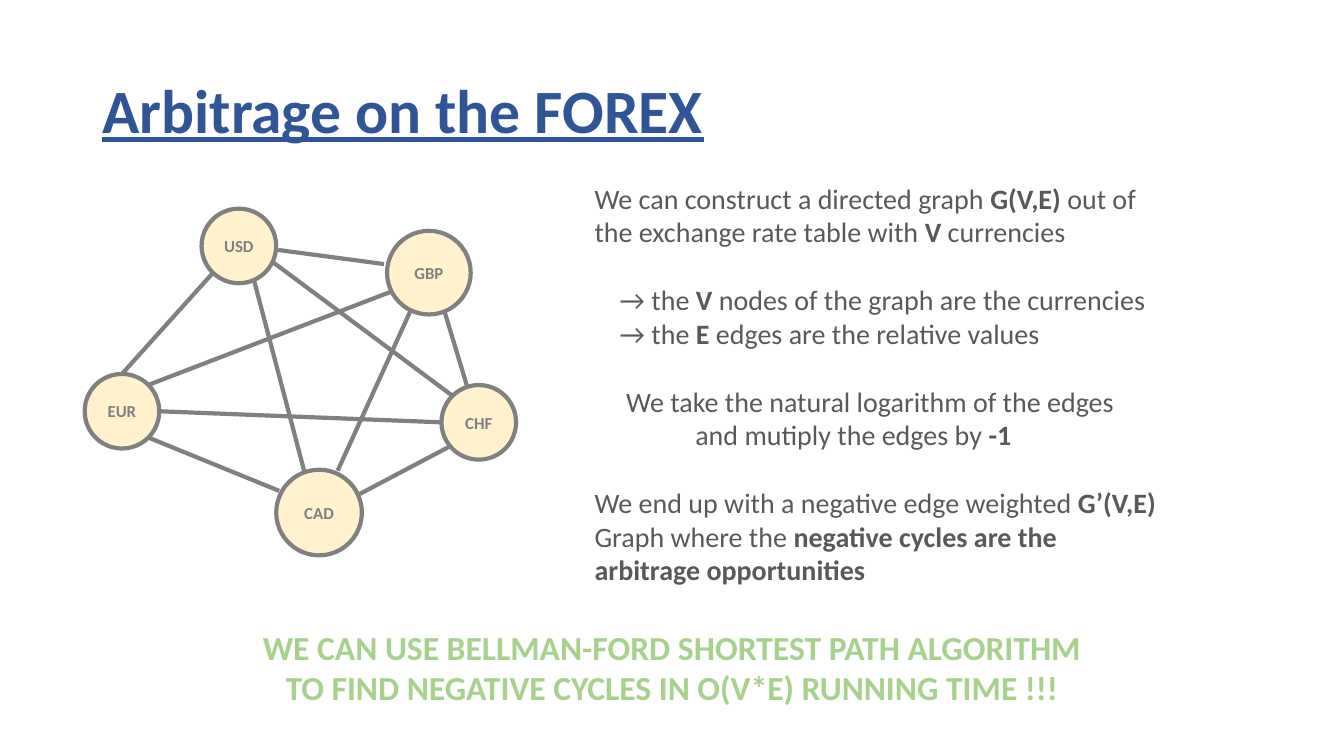
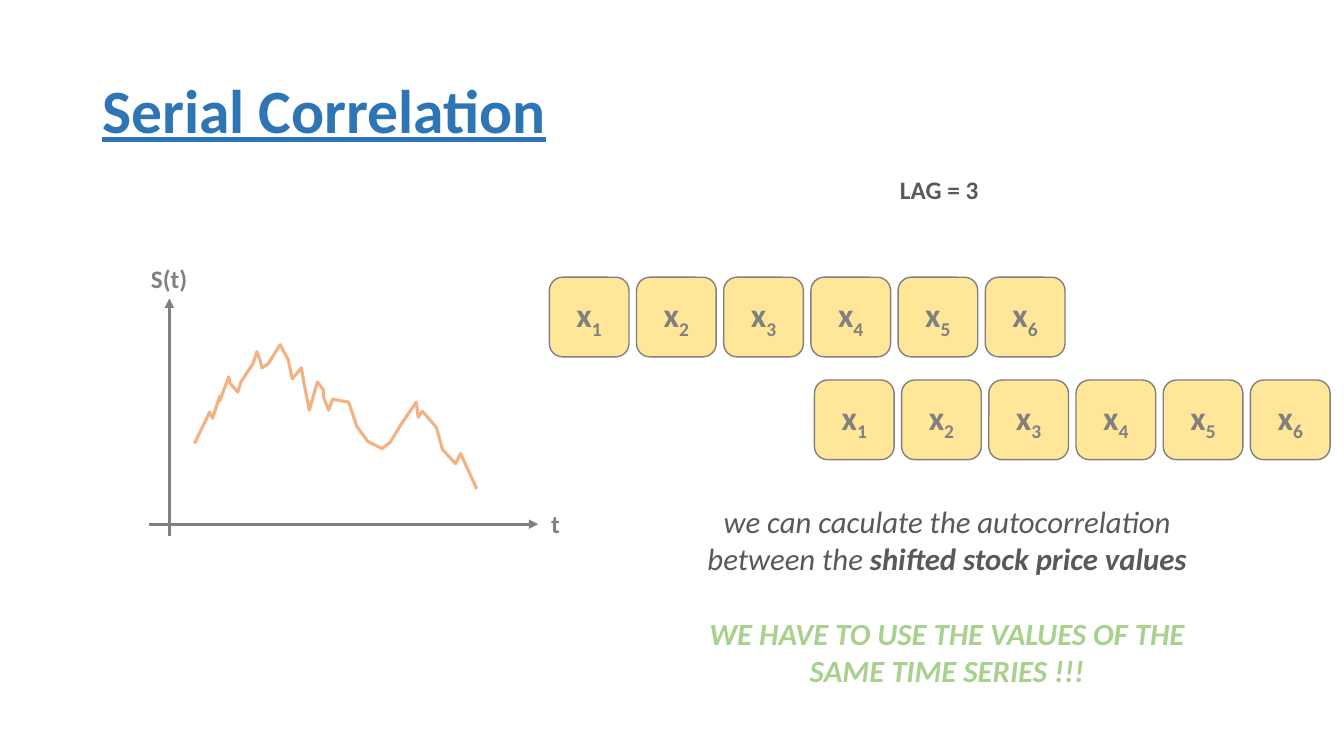
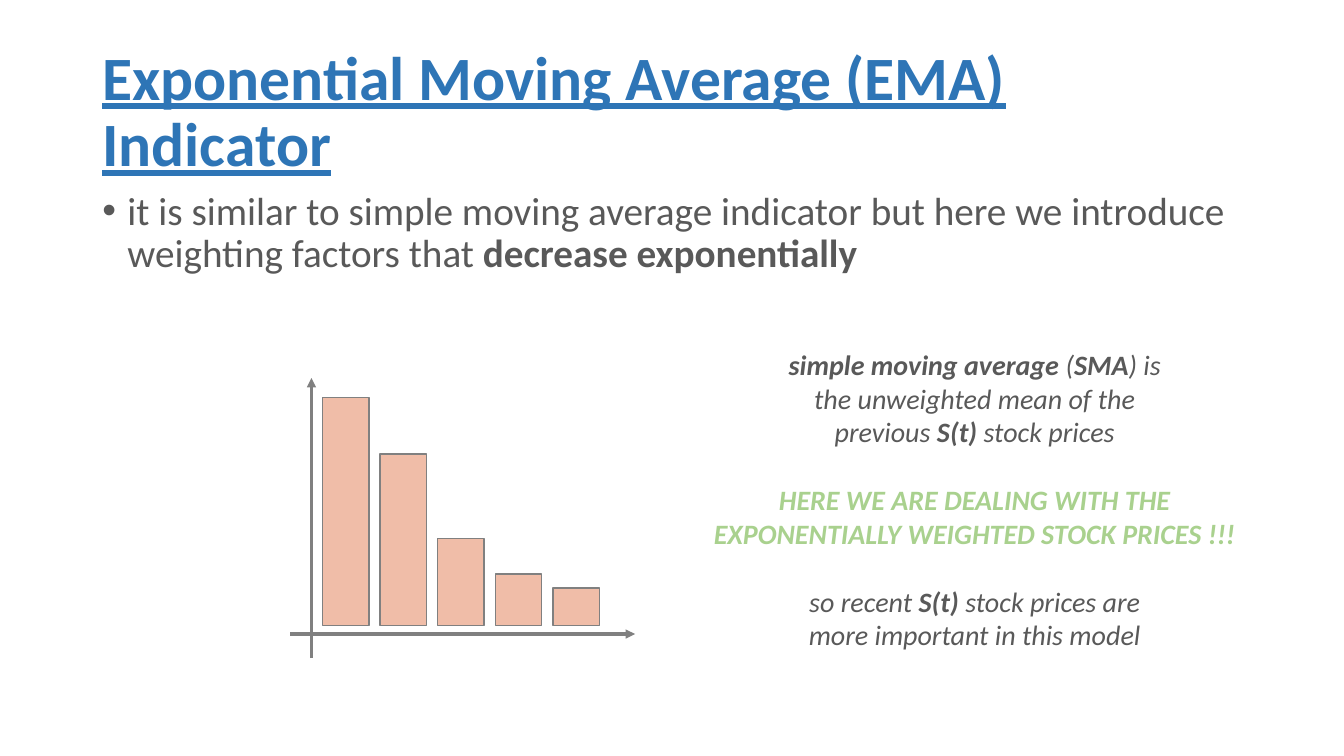
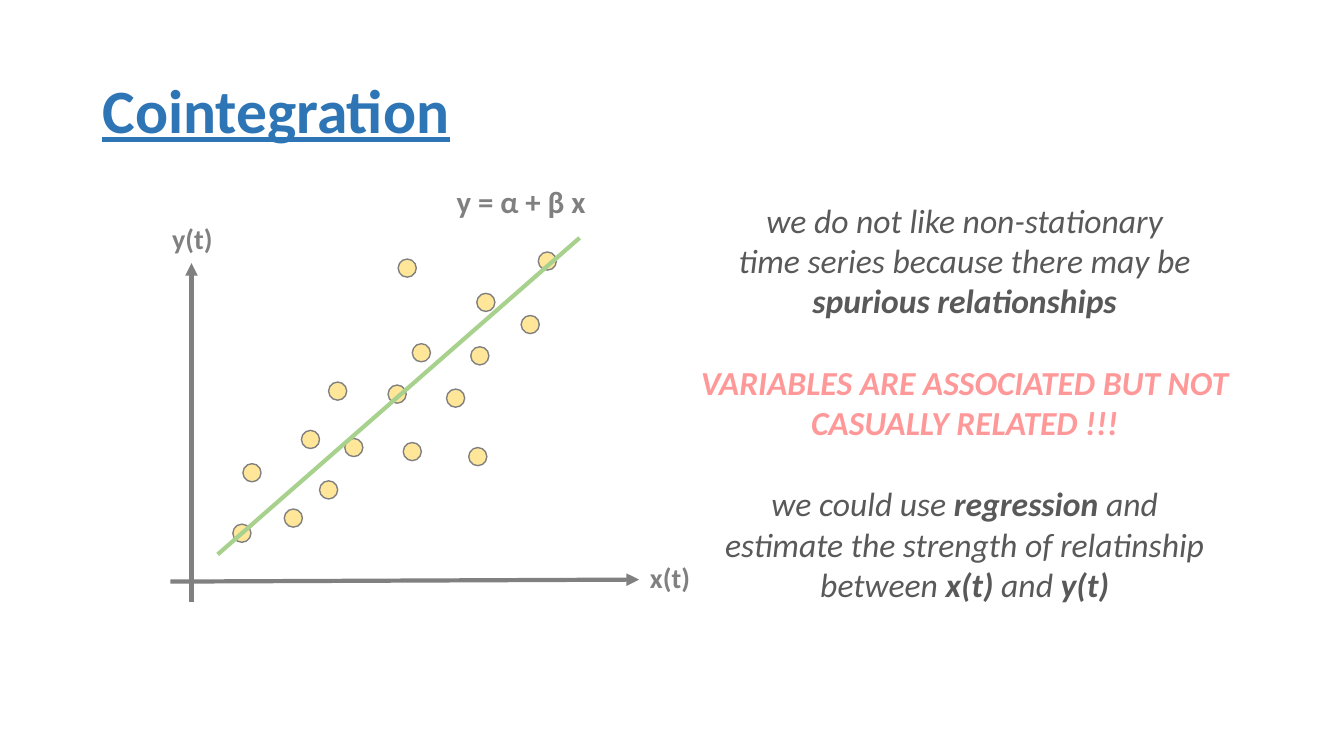
from lxml.etree import SubElement
from pptx import Presentation
from pptx.dml.color import RGBColor
from pptx.enum.shapes import MSO_CONNECTOR as Connector, MSO_SHAPE as Preset
from pptx.enum.text import MSO_ANCHOR as Anchor, MSO_AUTO_SIZE as Fit, PP_ALIGN as Align
from pptx.oxml.ns import qn
from pptx.util import Inches, Pt

COLUMNS, ROWS = 80, 45
CELL = Inches(1) // 6
FONT = "Calibri"
LINE_HEIGHT = 1.22

COLORS = {
    "navy": "2F5597", "blue": "2E75B6", "gray": "808080", "text": "595959",
    "cream": "FFF2CC", "yellow": "FFE699", "peach": "F0BDA8",
    "orange": "F4B183", "green": "A9D18E", "red": "FF9999",
}
LABEL = {"size": 18, "color": "gray", "bold": True}
PROSE = {"size": 20, "color": "text", "italic": True, "align": Align.CENTER}
SHOUT = {"color": "green", "bold": True, "gap": True}
NEW_GROUP = {"gap": True}


def color(name):
    return RGBColor.from_string(COLORS[name])


def cells(*values):
    """Turn counts of grid cells into lengths."""
    return [round(value * CELL) for value in values]


class Page:
    """Style of the deck, and the slide being filled."""

    def __init__(self, deck, title, title_color="blue"):
        self.slide = deck.slides.add_slide(deck.slide_layouts[5])
        self.shapes = self.slide.shapes
        box = self.shapes.title
        box.left, box.top, box.width, box.height = cells(5.5, 2.4, 69, 8.7)
        frame = box.text_frame
        for name, value in {"auto_size": Fit.NONE, "word_wrap": True,
                            "vertical_anchor": Anchor.MIDDLE}.items():
            setattr(frame, name, value)
        para = frame.paragraphs[0]
        para.line_spacing = 0.9
        self.fill_para(para, title, {"size": 44, "color": title_color, "bold": True,
                                     "underline": True, "align": Align.LEFT})

    def fill_para(self, para, text, look):
        """Fill a paragraph; ** switches bold, a line end breaks the line."""
        para.alignment = look.get("align", Align.LEFT)
        for order, piece in enumerate(text.split("**")):
            for number, words in enumerate(piece.split("\n")):
                if number:
                    para.add_line_break()
                if words:
                    self.span(para, words, look, look.get("bold", False) or order % 2 == 1)

    def span(self, para, words, look, bold):
        span = para.add_run()
        span.text = words
        formats = {"name": FONT, "size": Pt(look["size"]), "bold": bold,
                   "italic": look.get("italic", False),
                   "underline": look.get("underline", False)}
        for name, value in formats.items():
            setattr(span.font, name, value)
        span.font.color.rgb = color(look["color"])
        return span

    def text(self, place, lines, look, wrap=False):
        """Add a text box; a line is a string, or a string with its own look."""
        frame = self.shapes.add_textbox(*cells(*place)).text_frame
        frame.word_wrap = wrap
        frame.auto_size = Fit.NONE if wrap else Fit.SHAPE_TO_FIT_TEXT
        for number, line in enumerate(lines):
            words, own = (line, {}) if isinstance(line, str) else line
            para = frame.add_paragraph() if number else frame.paragraphs[0]
            style = {**look, **own}
            if style.get("gap"):
                para.space_before = Pt(round(style["size"] * LINE_HEIGHT, 1))
            if "indent" in style:
                para._p.get_or_add_pPr().set("marL", str(cells(style["indent"])[0]))
            self.fill_para(para, words, style)
        return frame

    def bullet(self, place, words, look):
        para = self.text(place, [words], look, wrap=True).paragraphs[0]
        para.line_spacing = 0.9
        settings = para._p.get_or_add_pPr()
        hang = cells(1.5)[0]
        settings.set("marL", str(hang))
        settings.set("indent", str(-hang))
        SubElement(settings, qn("a:buFont"), typeface="Arial")
        SubElement(settings, qn("a:buChar"), char="•")

    def shape(self, preset, place, fill, width=1):
        shape = self.shapes.add_shape(preset, *cells(*place))
        shape.shadow.inherit = False
        shape.fill.solid()
        shape.fill.fore_color.rgb = color(fill)
        self.outline(shape, "gray", width)
        return shape

    def outline(self, shape, name, width):
        shape.line.color.rgb = color(name)
        shape.line.width = Pt(width)

    def caption(self, shape, words, size, subscript=""):
        frame = shape.text_frame
        frame.word_wrap = False
        frame.vertical_anchor = Anchor.MIDDLE
        para = frame.paragraphs[0]
        look = {**LABEL, "size": size, "align": Align.CENTER}
        self.fill_para(para, words, look)
        if subscript:
            small = self.span(para, subscript, look, True)
            small._r.get_or_add_rPr().set("baseline", "-25000")

    def line(self, ends, name="gray", width=3.0, arrow=False):
        line = self.shapes.add_connector(Connector.STRAIGHT, *cells(*ends))
        self.outline(line, name, width)
        settings = line._element.spPr
        if arrow:
            SubElement(settings.find(qn("a:ln")), qn("a:tailEnd"), type="triangle")
        SubElement(settings, qn("a:effectLst"))

    def axes(self, upright, flat, width=2.25):
        for ends in (upright, flat):
            self.line(ends, width=width, arrow=True)

    def curve(self, points, name, width):
        start, *rest = [cells(*point) for point in points]
        builder = self.shapes.build_freeform(*start)
        builder.add_line_segments(rest, close=False)
        curve = builder.convert_to_shape()
        curve.shadow.inherit = False
        curve.fill.background()
        self.outline(curve, name, width)

    def tiles(self, left, top, count=6, size=4.74, pitch=5.19):
        for number in range(count):
            place = (left + number * pitch, top, size, size)
            tile = self.shape(Preset.ROUNDED_RECTANGLE, place, "yellow")
            self.caption(tile, "x", 24, str(number + 1))


def arbitrage(deck):
    page = Page(deck, "Arbitrage on the FOREX", "navy")
    currencies = [
        ("USD", 12, 12.42, 4.44), ("EUR", 5.04, 22.26, 4.44),
        ("CHF", 26.28, 22.92, 4.44), ("CAD", 16.44, 27.96, 5.1),
        ("GBP", 23.04, 13.74, 4.98),
    ]
    for name, left, top, size in currencies:
        node = page.shape(Preset.OVAL, (left, top, size, size), "cream", 3)
        page.caption(node, name, 12)
    edges = [
        (8.82, 22.92, 23.34, 17.34), (9.48, 24.48, 26.28, 25.14),
        (8.82, 26.04, 16.62, 29.22), (7.26, 22.26, 12.66, 16.26),
        (22.86, 15.72, 16.56, 14.88), (27.78, 22.92, 26.46, 18.54),
        (21.42, 29.4, 26.76, 26.58), (20.1, 28.02, 24.42, 18.54),
        (18.12, 28.08, 15.12, 16.68), (26.88, 23.52, 16.32, 15.66),
    ]
    for edge in edges:
        page.line(edge)
    page.text((34.8, 10.5, 34.8, 24.84), [
        "We can construct a directed graph **G(V,E)** out of",
        "the exchange rate table with **V** currencies",
        ("→ the **V** nodes of the graph are the currencies", {"indent": 1.5, "gap": True}),
        ("→ the **E** edges are the relative values", {"indent": 1.5}),
        ("We take the natural logarithm of the edges", {"indent": 1.88, "gap": True}),
        ("and mutiply the edges by **-1**", {"indent": 6}),
        ("We end up with a negative edge weighted **G’(V,E)**", NEW_GROUP),
        "Graph where the **negative cycles are the**",
        "**arbitrage opportunities**",
    ], {"size": 20, "color": "text"})
    page.text((14.82, 37.02, 50.34, 5.46), [
        "WE CAN USE BELLMAN-FORD SHORTEST PATH ALGORITHM\n"
        "TO FIND NEGATIVE CYCLES IN O(V*E) RUNNING TIME !!!",
    ], {"size": 24, "color": "green", "bold": True, "align": Align.CENTER})


def serial_correlation(deck):
    page = Page(deck, "Serial Correlation")
    page.axes((10.08, 31.92, 10.08, 17.76), (8.88, 31.2, 32.04, 31.2))
    page.text((8.4, 15.36, 3.42, 2.4), ["S(t)"], LABEL)
    page.text((32.22, 29.94, 1.74, 2.4), ["t"], LABEL)
    page.curve([
        (11.58, 26.4), (12.48, 24.54), (12.66, 24.9), (13.08, 23.58), (13.08, 23.88),
        (13.62, 22.44), (13.68, 22.8), (14.16, 23.34), (14.34, 22.74), (15.06, 21.66),
        (15.3, 20.94), (15.48, 21.42), (15.6, 21.9), (15.96, 21.66), (16.68, 20.52),
        (17.16, 21.42), (17.4, 22.56), (17.94, 21.9), (18.12, 22.92), (18.42, 24.42),
        (18.6, 23.76), (18.9, 22.74), (19.26, 23.22), (19.26, 23.64), (19.56, 24.42),
        (19.8, 23.76), (20.76, 23.94), (21.24, 25.38), (21.9, 26.28), (22.74, 26.7),
        (23.22, 26.34), (23.88, 25.26), (24.78, 23.94), (24.9, 24.84), (25.14, 24.48),
        (25.98, 25.44), (26.34, 26.76), (27.12, 27.6), (27.42, 27), (28.38, 29.1),
    ], "orange", 2.25)
    page.tiles(32.7, 16.5)
    page.tiles(48.48, 22.62)
    page.text((41.34, 29.64, 30.06, 11.7), [
        "we can caculate the autocorrelation",
        "between the **shifted stock price values**",
        ("WE HAVE TO USE THE VALUES OF THE\nSAME TIME SERIES !!!", SHOUT),
    ], {**PROSE, "size": 22})
    page.text((52.98, 10.08, 5.94, 2.4), ["LAG = 3"], {**LABEL, "color": "text"})


def moving_average(deck):
    page = Page(deck, "Exponential Moving Average (EMA) Indicator")
    page.bullet((5.5, 11.1, 69, 28.56),
                "it is similar to simple moving average indicator but here we introduce "
                "weighting factors that **decrease exponentially**",
                {"size": 28, "color": "text"})
    page.axes((18.54, 39.18, 18.54, 22.5), (17.28, 37.74, 37.8, 37.74))
    base, pitch, width = 37.22, 3.43, 2.76
    for number, height in enumerate([13.56, 10.2, 5.16, 3.06, 2.22]):
        place = (19.2 + number * pitch, base - height, width, height)
        page.shape(Preset.RECTANGLE, place, "peach")
    page.text((41.58, 20.4, 32.88, 18.78), [
        "**simple moving average** (**SMA**) is",
        "the unweighted mean of the",
        "previous **S(t)** stock prices",
        ("HERE WE ARE DEALING WITH THE\nEXPONENTIALLY WEIGHTED STOCK PRICES !!!", SHOUT),
        ("so recent **S(t)** stock prices are", NEW_GROUP),
        "more important in this model",
    ], PROSE)


def cointegration(deck):
    page = Page(deck, "Cointegration")
    page.axes((11.4, 35.82, 11.4, 15.66), (10.14, 34.62, 38.04, 34.5), 3)
    axis_label = {**LABEL, "size": 20}
    page.text((38.1, 33.06, 3.6, 2.64), ["x(t)"], axis_label)
    page.text((40.98, 11.58, 32.88, 27.24), [
        "we do not like non-stationary",
        "time series because there may be",
        "**spurious relationships**",
        ("VARIABLES ARE ASSOCIATED BUT NOT\nCASUALLY RELATED !!!", {**SHOUT, "color": "red"}),
        ("we could use **regression** and", NEW_GROUP),
        "estimate the strength of relatinship",
        "between **x(t)** and **y(t)**",
    ], {**PROSE, "size": 24})
    observations = [
        (14.46, 27.6), (19.02, 28.62), (19.56, 22.74), (20.52, 26.1), (24, 26.34),
        (24.54, 20.46), (23.1, 22.92), (26.58, 23.16), (28.38, 17.46), (28.02, 20.64),
        (31.02, 18.78), (32.04, 15), (13.86, 31.2), (16.92, 30.3), (17.94, 25.62),
        (23.7, 15.42), (27.9, 26.64),
    ]
    for left, top in observations:
        page.shape(Preset.OVAL, (left, top, 1.08, 1.08), "yellow")
    page.line((12.96, 33, 34.5, 14.16), "green")
    page.text((26.52, 10.56, 9, 2.82), ["y = α + β x"],
              {**LABEL, "size": 22, "align": Align.CENTER})
    page.text((9.66, 12.9, 3.66, 2.64), ["y(t)"], axis_label)


def main():
    deck = Presentation()
    deck.slide_width, deck.slide_height = cells(COLUMNS, ROWS)
    for build in (arbitrage, serial_correlation, moving_average, cointegration):
        build(deck)
    deck.save("out.pptx")


if __name__ == "__main__":
    main()
